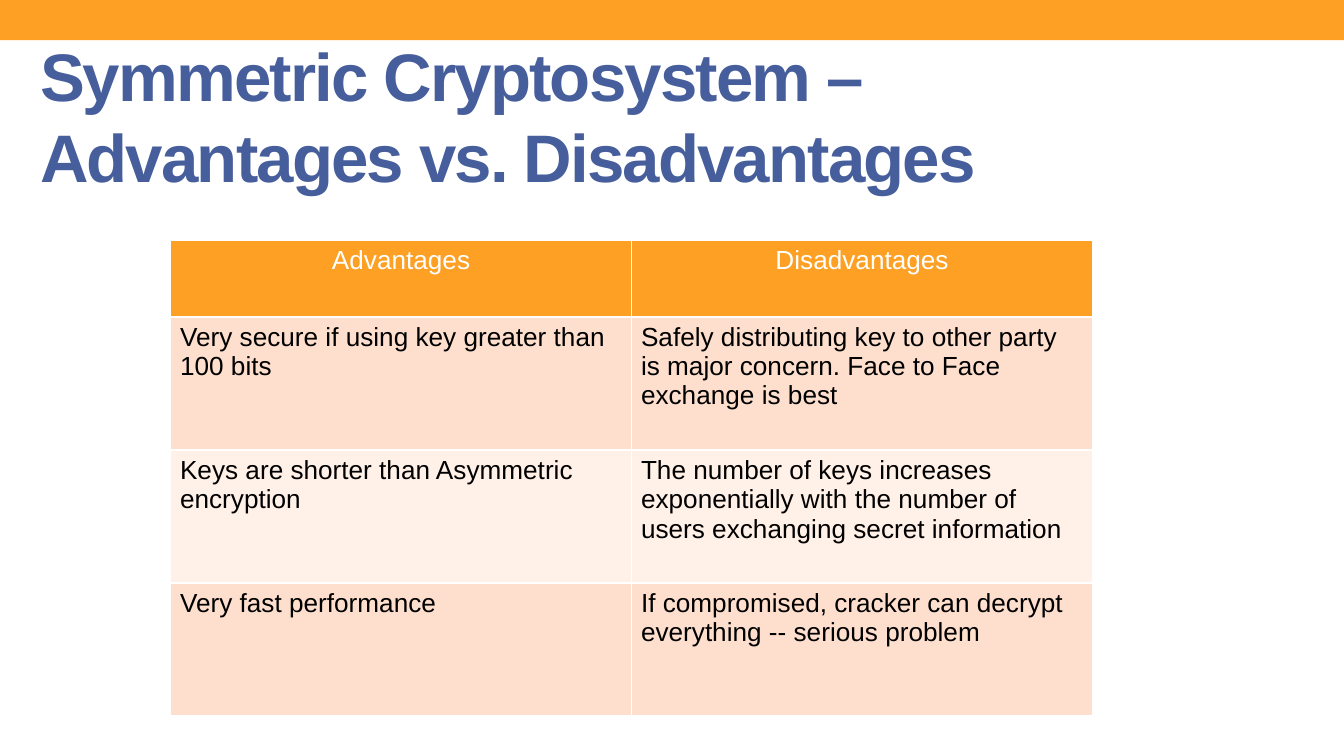
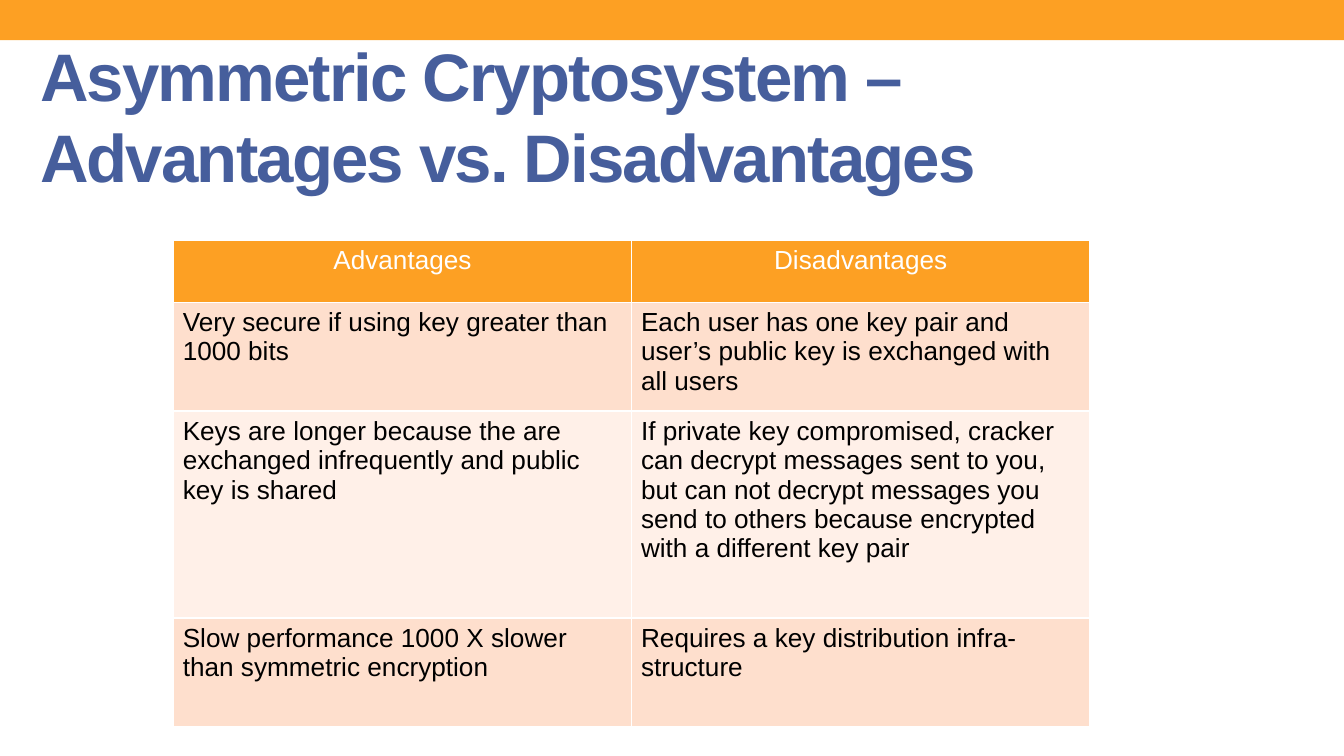
from lxml import etree
from pptx import Presentation
from pptx.dml.color import RGBColor
from pptx.enum.shapes import MSO_SHAPE
from pptx.enum.text import MSO_ANCHOR, PP_ALIGN
from pptx.oxml.ns import qn
from pptx.util import Inches, Pt

RECTANGLE = MSO_SHAPE.RECTANGLE
MIDDLE, TOP = MSO_ANCHOR.MIDDLE, MSO_ANCHOR.TOP
LEFT, CENTER = PP_ALIGN.LEFT, PP_ALIGN.CENTER

WIDTH = Inches(10)
HEIGHT = WIDTH * 9 // 16
COLORS = {
    "accent": "FDA023",
    "title": "465E9C",
    "text": "000000",
    "white": "FFFFFF",
    "odd_row": "FEDFCD",
    "even_row": "FFF0E8",
}
FONT = "Arial"
TABLE_CENTER = 0.47
TABLE_TOP = Inches(1.79)
HEADINGS = ("Advantages", "Disadvantages")

SYMMETRIC = [
    ("Very secure if using key greater than 100 bits",
     "Safely distributing key to other party is major concern. "
     "Face to Face exchange is best"),
    ("Keys are shorter than Asymmetric encryption",
     "The number of keys increases exponentially with the number of "
     "users exchanging secret information"),
    ("Very fast performance",
     "If compromised, cracker can decrypt everything -- serious problem"),
]
ASYMMETRIC = [
    ("Very secure if using key greater than 1000 bits",
     "Each user has one key pair and user’s public key is exchanged "
     "with all users"),
    ("Keys are longer because the are exchanged infrequently and public "
     "key is shared",
     "If private key compromised, cracker can decrypt messages sent to you, "
     "but can not decrypt messages you send to others because encrypted "
     "with a different key pair"),
    ("Slow performance 1000 X slower than symmetric encryption",
     "Requires a key distribution infra-structure"),
]


def rgb(color):
    return RGBColor.from_string(COLORS[color])


def write(frame, text, size=14, color="text", bold=False, align=LEFT,
          tracking=None):
    paragraph = frame.paragraphs[0]
    paragraph.alignment = align
    run = paragraph.add_run()
    run.text = text
    run.font.name = FONT
    run.font.size = Pt(size)
    run.font.bold = bold
    run.font.color.rgb = rgb(color)
    if tracking is not None:
        run.font._element.set("spc", str(tracking * 100))


def add_band(slide):
    band = slide.shapes.add_shape(RECTANGLE, 0, 0, WIDTH, Inches(0.3))
    band.shadow.inherit = False
    band.fill.solid()
    band.fill.fore_color.rgb = rgb("accent")
    band.line.fill.background()


def add_title(slide, text):
    title = slide.shapes.add_textbox(
        int(WIDTH * 0.02), int(HEIGHT * 0.08), int(WIDTH * 0.9), Inches(0.81))
    frame = title.text_frame
    frame.word_wrap = True
    frame.vertical_anchor = MIDDLE
    write(frame, text, size=36, color="title", bold=True, tracking=-1)


def set_borders(cell):
    properties = cell._tc.get_or_add_tcPr()
    for side in "LRTB":
        line = etree.SubElement(properties, qn(f"a:ln{side}"), w=str(Pt(1)))
        fill = etree.SubElement(line, qn("a:solidFill"))
        etree.SubElement(fill, qn("a:srgbClr"), val=COLORS["white"])


def fill_cell(cell, text, fill, **text_format):
    cell.margin_left = cell.margin_right = Inches(0.07)
    cell.margin_top = cell.margin_bottom = Inches(0.04)
    cell.vertical_anchor = TOP
    set_borders(cell)
    cell.fill.solid()
    cell.fill.fore_color.rgb = rgb(fill)
    write(cell.text_frame, text, **text_format)


def add_comparison(slide, points, column_width, row_heights):
    width = Inches(column_width * len(HEADINGS))
    left = int(WIDTH * TABLE_CENTER - width / 2)
    table = slide.shapes.add_table(
        len(row_heights), len(HEADINGS), left, TABLE_TOP, width,
        Inches(sum(row_heights))).table
    for column in table.columns:
        column.width = Inches(column_width)
    for row, height in zip(table.rows, row_heights):
        row.height = Inches(height)
    for column, heading in enumerate(HEADINGS):
        fill_cell(table.cell(0, column), heading, "accent",
                  color="white", align=CENTER)
    for row, pair in enumerate(points, start=1):
        fill = "odd_row" if row % 2 else "even_row"
        for column, point in enumerate(pair):
            fill_cell(table.cell(row, column), point, fill)


def add_comparison_slide(deck, system, points, column_width, row_heights):
    slide = deck.slides.add_slide(deck.slide_layouts[6])
    add_band(slide)
    add_comparison(slide, points, column_width, row_heights)
    add_title(slide, f"{system} Cryptosystem – Advantages vs. Disadvantages")


def main():
    deck = Presentation()
    deck.slide_width, deck.slide_height = WIDTH, HEIGHT
    add_comparison_slide(deck, "Symmetric", SYMMETRIC, 3.43,
                         (0.57, 0.99, 0.99, 0.99))
    add_comparison_slide(deck, "Asymmetric", ASYMMETRIC, 3.41,
                         (0.46, 0.81, 1.54, 0.81))
    deck.save("out.pptx")


if __name__ == "__main__":
    main()
